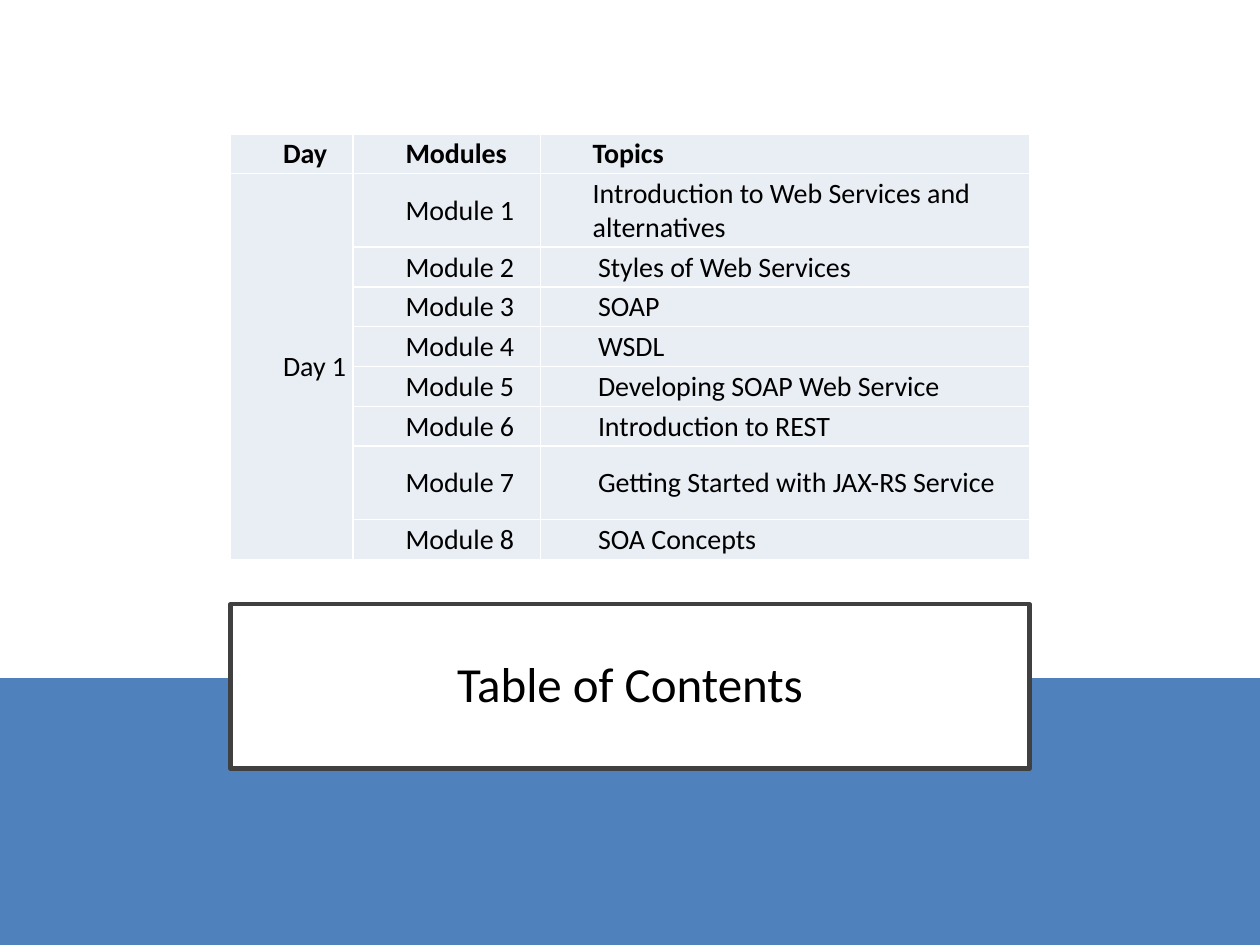
from lxml import etree
from pptx import Presentation
from pptx import util as u
from pptx.dml import color
from pptx.enum import shapes, text
from pptx.oxml import ns

COLORS = {"band": "4F81BD", "cell": "E9EDF4", "frame": "404040",
          "white": "FFFFFF", "ink": "000000"}
FONT = "Calibri"
TOPICS = ["Introduction to Web Services and alternatives", "Styles of Web Services",
          "SOAP", "WSDL", "Developing SOAP Web Service", "Introduction to REST",
          "Getting Started with JAX-RS Service", "SOA Concepts"]
COLUMN_WIDTHS = [70, 107, 279.5]
ROW_HEIGHT, TALL_ROW_HEIGHT = 22.75, 42
TALL_ROWS = (1, 7)
INDENT, TOPIC_INDENT = 30, 33


def rgb(name):
    return color.RGBColor.from_string(COLORS[name])


def write(frame, words, size=16, bold=False, align=None, spacing=None):
    para = frame.paragraphs[0]
    para.alignment = align
    para.line_spacing = spacing
    span = para.add_run()
    span.text = words
    span.font.name = FONT
    span.font.size = u.Pt(size)
    span.font.bold = bold
    span.font.color.rgb = rgb("ink")


def add_band(page, box):
    band = page.shapes.add_shape(shapes.MSO_SHAPE.RECTANGLE, *map(u.Pt, box))
    band.shadow.inherit = False
    band.fill.solid()
    band.fill.fore_color.rgb = rgb("band")
    band.line.fill.background()
    page.shapes._spTree.insert(2, band._element)


def add_title(page, box, words):
    title = page.shapes.title
    title.left, title.top, title.width, title.height = map(u.Pt, box)
    title.fill.solid()
    title.fill.fore_color.rgb = rgb("white")
    title.line.color.rgb = rgb("frame")
    title.line.width = u.Pt(2.5)
    frame = title.text_frame
    frame.word_wrap = True
    frame.auto_size = text.MSO_AUTO_SIZE.NONE
    frame.vertical_anchor = text.MSO_ANCHOR.MIDDLE
    write(frame, words, size=28, align=text.PP_ALIGN.CENTER, spacing=0.9)


def add_borders(cell):
    properties = cell._tc.get_or_add_tcPr()
    for place, side in enumerate(("lnL", "lnR", "lnT", "lnB")):
        line = etree.Element(ns.qn(f"a:{side}"), w=str(u.Pt(1)))
        fill = etree.SubElement(line, ns.qn("a:solidFill"))
        etree.SubElement(fill, ns.qn("a:srgbClr"), val=COLORS["white"])
        properties.insert(place, line)


def style_cell(cell, indent):
    cell.fill.solid()
    cell.fill.fore_color.rgb = rgb("cell")
    cell.vertical_anchor = text.MSO_ANCHOR.MIDDLE
    cell.margin_left = u.Pt(indent)
    cell.margin_right = cell.margin_top = u.Pt(0.7)
    cell.margin_bottom = 0
    add_borders(cell)


def add_contents(page, box):
    rows = [("Day", "Modules", "Topics")]
    rows += [("Day 1" if number == 1 else "", f"Module {number}", topic)
             for number, topic in enumerate(TOPICS, 1)]
    table = page.shapes.add_table(len(rows), len(COLUMN_WIDTHS), *map(u.Pt, box)).table
    table.first_row = table.horz_banding = False
    for column, width in zip(table.columns, COLUMN_WIDTHS):
        column.width = u.Pt(width)
    for r, row in enumerate(rows):
        table.rows[r].height = u.Pt(TALL_ROW_HEIGHT if r in TALL_ROWS else ROW_HEIGHT)
        for c, words in enumerate(row):
            cell = table.cell(r, c)
            style_cell(cell, TOPIC_INDENT if c == 2 and r > 1 else INDENT)
            if words:
                write(cell.text_frame, words, bold=r == 0)
    table.cell(1, 0).merge(table.cell(len(rows) - 1, 0))


def main():
    deck = Presentation()
    deck.slide_width, deck.slide_height = u.Pt(720), u.Pt(540)
    page = deck.slides.add_slide(deck.slide_layouts[5])
    add_band(page, (0, 387.5, 720, 152.5))
    add_title(page, (131.75, 345.25, 456.5, 94), "Table of Contents")
    add_contents(page, (131.75, 76.5, 456.5, 243.25))
    deck.save("out.pptx")


if __name__ == "__main__":
    main()
